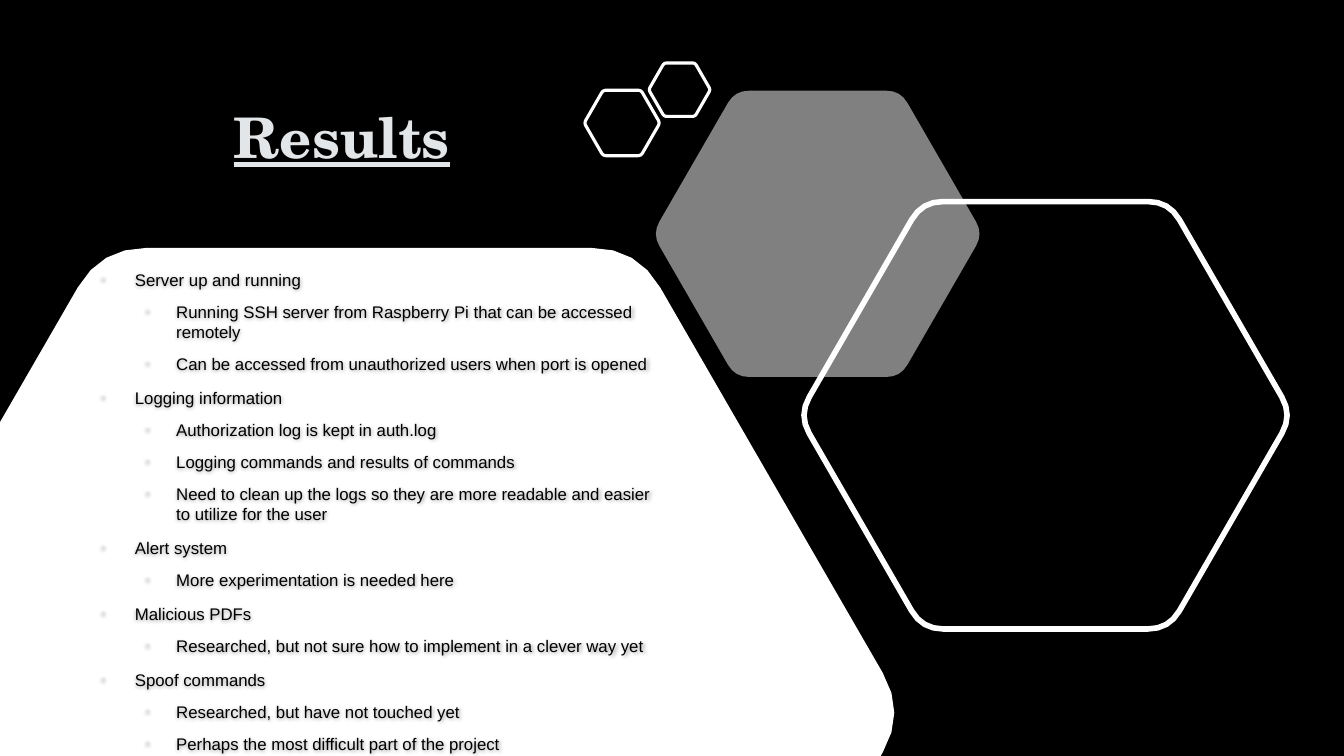
import math
from dataclasses import dataclass

from lxml import etree
from pptx import Presentation
from pptx import util as u
from pptx.dml.color import RGBColor
from pptx.enum import text
from pptx.oxml import ns

SLIDE_W, SLIDE_H = 13.33, 7.5


@dataclass(frozen=True)
class Theme:
    background: str = "000000"
    shape: str = "FFFFFF"
    heading: str = "E2E6E8"
    body: str = "000000"
    heading_font: str = "TeX Gyre Schola"
    body_font: str = "Arial"
    heading_size: int = 40
    body_size: int = 12


def add_xml(parent, tag, **attributes):
    return etree.SubElement(parent, ns.qn(tag), attributes)


def rounded_hexagon(cx, cy, height, corner=0.085, steps=4):
    """Outline of a flat-topped hexagon whose corners are quadratic curves."""
    side = height / math.sqrt(3)
    corners = [(cx + side * math.cos(math.radians(60 * i)),
                cy + side * math.sin(math.radians(60 * i))) for i in range(6)]
    points = []
    for i, (x, y) in enumerate(corners):
        (px, py), (nx, ny) = corners[i - 1], corners[(i + 1) % 6]
        for step in range(steps + 1):
            t = step / steps
            before, after = corner * (1 - t) ** 2, corner * t ** 2
            points.append((x + before * (px - x) + after * (nx - x),
                           y + before * (py - y) + after * (ny - y)))
    return points


def clip(points, axis, limit, sign):
    """Keep the part of the outline where sign * (coordinate - limit) >= 0."""
    kept = []
    for a, b in zip(points, points[1:] + points[:1]):
        a_gap, b_gap = sign * (a[axis] - limit), sign * (b[axis] - limit)
        if a_gap >= 0:
            kept.append(a)
        if a_gap * b_gap < 0:
            t = a_gap / (a_gap - b_gap)
            kept.append((a[0] + t * (b[0] - a[0]), a[1] + t * (b[1] - a[1])))
    return kept


class SlideBuilder:
    def __init__(self, slide, theme):
        self.slide, self.theme = slide, theme
        fill = slide.background.fill
        fill.solid()
        fill.fore_color.rgb = RGBColor.from_string(theme.background)

    def hexagon(self, cx, cy, height, line=None, opacity=100):
        """Outlined when a line width is given, otherwise filled."""
        outline = rounded_hexagon(cx, cy, height)
        outline = clip(clip(outline, 0, 0, 1), 1, SLIDE_H, -1)
        points = [(u.Inches(x), u.Inches(y)) for x, y in outline]
        builder = self.slide.shapes.build_freeform(*points[0])
        builder.add_line_segments(points[1:], close=True)
        shape = builder.convert_to_shape()
        shape.shadow.inherit = False
        color = RGBColor.from_string(self.theme.shape)
        if line:
            shape.fill.background()
            shape.line.color.rgb = color
            shape.line.width = u.Pt(line)
            return
        shape.line.fill.background()
        shape.fill.solid()
        shape.fill.fore_color.rgb = color
        if opacity < 100:
            srgb = shape.fill._xPr.find(".//" + ns.qn("a:srgbClr"))
            add_xml(srgb, "a:alpha", val=str(opacity * 1000))

    def text_box(self, left, top, width, height):
        box = self.slide.shapes.add_textbox(*map(u.Inches, (left, top, width, height)))
        box.text_frame.word_wrap = True
        return box

    def heading(self, words, *place):
        frame = self.text_box(*place).text_frame
        frame.vertical_anchor = text.MSO_ANCHOR.MIDDLE
        paragraph = frame.paragraphs[0]
        paragraph.text = words
        paragraph.alignment = text.PP_ALIGN.CENTER
        paragraph.line_spacing = 0.9
        font = paragraph.font
        font.name, font.size = self.theme.heading_font, u.Pt(self.theme.heading_size)
        font.bold = font.underline = True
        font.color.rgb = RGBColor.from_string(self.theme.heading)

    def outline_list(self, sections, *place):
        box = self.text_box(*place)
        self.soft_shadow(box)
        items = [(level, words) for topic, details in sections
                 for level, words in [(0, topic)] + [(1, detail) for detail in details]]
        frame = box.text_frame
        for i, (level, words) in enumerate(items):
            paragraph = frame.add_paragraph() if i else frame.paragraphs[0]
            paragraph.text, paragraph.level = words, level
            paragraph.line_spacing = (1.1, 1.0)[level]
            paragraph.space_before, paragraph.space_after = u.Pt(2.4), u.Pt(6)
            font = paragraph.font
            font.name, font.size = self.theme.body_font, u.Pt(self.theme.body_size)
            font.color.rgb = RGBColor.from_string(self.theme.body)
            self.bullet(paragraph, *((0.38, -0.33), (0.79, -0.3))[level])

    def bullet(self, paragraph, margin, indent):
        properties = paragraph._p.get_or_add_pPr()
        properties.set("marL", str(u.Inches(margin)))
        properties.set("indent", str(u.Inches(indent)))
        color = etree.Element(ns.qn("a:buClr"))
        add_xml(color, "a:srgbClr", val=self.theme.heading)
        size = etree.Element(ns.qn("a:buSzPct"), val="70000")
        face = etree.Element(ns.qn("a:buFont"), typeface=self.theme.body_font)
        mark = etree.Element(ns.qn("a:buChar"), char="\u2022")
        default_run = properties.find(ns.qn("a:defRPr"))
        for element in (color, size, face, mark):
            default_run.addprevious(element)

    def soft_shadow(self, box):
        effects = add_xml(box._element.spPr, "a:effectLst")
        shadow = add_xml(effects, "a:outerShdw", blurRad=str(u.Pt(3)),
                         dist=str(u.Pt(0.5)), dir="2700000")
        add_xml(add_xml(shadow, "a:srgbClr", val="000000"), "a:alpha", val="40000")


RESULTS = [
    ("Server up and running", [
        "Running SSH server from Raspberry Pi that can be accessed remotely",
        "Can be accessed from unauthorized users when port is opened"]),
    ("Logging information", [
        "Authorization log is kept in auth.log",
        "Logging commands and results of commands",
        "Need to clean up the logs so they are more readable and easier "
        "to utilize for the user"]),
    ("Alert system", ["More experimentation is needed here"]),
    ("Malicious PDFs", [
        "Researched, but not sure how to implement in a clever way yet"]),
    ("Spoof commands", [
        "Researched, but have not touched yet",
        "Perhaps the most difficult part of the project"]),
]

deck = Presentation()
deck.slide_width, deck.slide_height = u.Inches(SLIDE_W), u.Inches(SLIDE_H)
results = SlideBuilder(deck.slides.add_slide(deck.slide_layouts[6]), Theme())

# Heading
results.heading("Results", 1.05, 0.49, 4.68, 1.8)

# Hexagons: text panel, large ring, translucent tile, two small rings
results.hexagon(3.66, 7.07, 9.22)
results.hexagon(10.37, 4.12, 4.24, line=4)
results.hexagon(8.11, 2.32, 2.84, opacity=50)
results.hexagon(6.17, 1.22, 0.65, line=2.25)
results.hexagon(6.74, 0.89, 0.53, line=2.25)

# Findings
results.outline_list(RESULTS, 0.86, 2.61, 5.87, 4.41)

deck.save("out.pptx")
